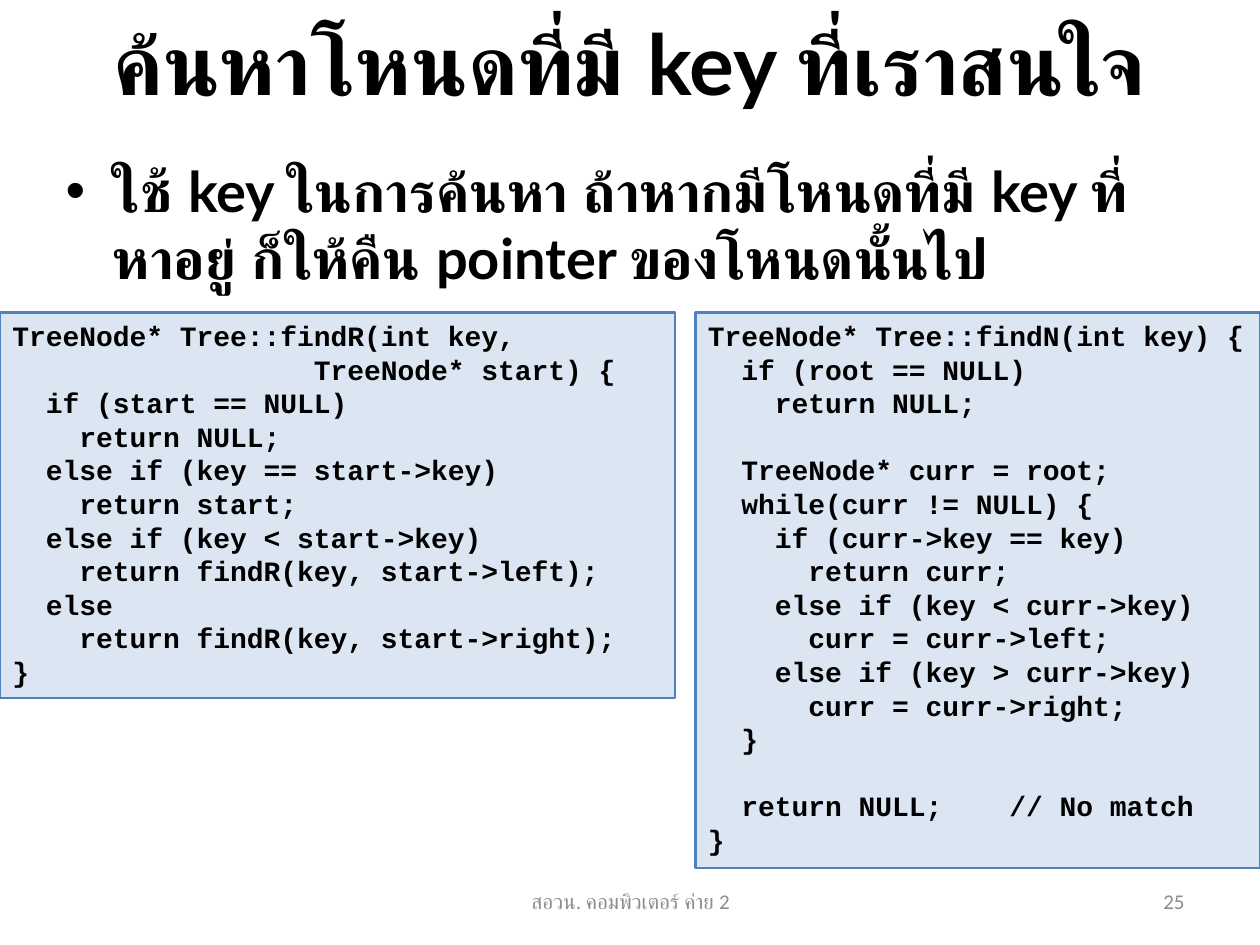
from pptx import Presentation
from pptx.dml.color import RGBColor
from pptx.enum.shapes import MSO_SHAPE
from pptx.enum.text import MSO_ANCHOR, MSO_AUTO_SIZE, PP_ALIGN
from pptx.util import Inches, Pt

TITLE = "ค้นหาโหนดที่มี key ที่เราสนใจ"
BULLET = "ใช้ key ในการค้นหา ถ้าหากมีโหนดที่มี key ที่หาอยู่ ก็ให้คืน pointer ของโหนดนั้นไป"

RECURSIVE_FIND = """TreeNode* Tree::findR(int key, \v                  TreeNode* start) {
  if (start == NULL)
    return NULL;
  else if (key == start->key)
    return start;
  else if (key < start->key)
    return findR(key, start->left);
  else
    return findR(key, start->right);
}"""

ITERATIVE_FIND = """TreeNode* Tree::findN(int key) {
  if (root == NULL)
    return NULL;

  TreeNode* curr = root;
  while(curr != NULL) {
    if (curr->key == key)
      return curr;
    else if (key < curr->key)
      curr = curr->left;
    else if (key > curr->key)
      curr = curr->right;
  }

  return NULL;    // No match
}"""

# Code, left, width, height
CODE_BOXES = [
    (RECURSIVE_FIND, 0, 5.36, 3.06),
    (ITERATIVE_FIND, 5.52, 4.48, 4.41),
]
CODE_TOP = 2.48

# Text, left, width, alignment
FOOTERS = [
    ("สอวน. คอมพิวเตอร์ ค่าย 2", 3.42, 3.17, PP_ALIGN.CENTER),
    ("25", 7.17, 2.33, PP_ALIGN.RIGHT),
]


def color(hex_value):
    return RGBColor.from_string(hex_value)


def place(shape, left, top, width, height):
    shape.left, shape.top = Inches(left), Inches(top)
    shape.width, shape.height = Inches(width), Inches(height)


def set_text(shape, text, font_name, size, hex_value, bold, alignment, anchor):
    frame = shape.text_frame
    frame.text = text
    frame.word_wrap = True
    frame.auto_size = MSO_AUTO_SIZE.NONE
    frame.vertical_anchor = anchor
    for paragraph in frame.paragraphs:
        paragraph.alignment = alignment
        paragraph.font.size = Pt(size)
        for run in paragraph.runs:
            run.font.name = font_name
            run.font.size = Pt(size)
            run.font.bold = bold
            run.font.color.rgb = color(hex_value)


def add_code_box(slide, code, left, width, height):
    box = slide.shapes.add_shape(
        MSO_SHAPE.RECTANGLE, Inches(left), Inches(CODE_TOP), Inches(width), Inches(height))
    box.shadow.inherit = False
    box.fill.solid()
    box.fill.fore_color.rgb = color("DCE6F2")
    box.line.color.rgb = color("4F81BD")
    box.line.width = Pt(1.25)
    set_text(box, code, "Courier New", 16, "000000", True, PP_ALIGN.LEFT, MSO_ANCHOR.TOP)
    box.text_frame.auto_size = MSO_AUTO_SIZE.SHAPE_TO_FIT_TEXT


def main():
    presentation = Presentation()
    presentation.slide_width, presentation.slide_height = Inches(10), Inches(7.5)
    slide = presentation.slides.add_slide(presentation.slide_layouts[1])

    title, body = slide.placeholders
    place(title, 0.5, 0.08, 9, 0.83)
    set_text(title, TITLE, "Lato", 48, "000000", True, PP_ALIGN.CENTER, MSO_ANCHOR.MIDDLE)
    place(body, 0.42, 1.19, 9, 0.58)
    set_text(body, BULLET, "Lato", 32, "000000", True, PP_ALIGN.LEFT, MSO_ANCHOR.TOP)
    body.text_frame.paragraphs[0].space_before = Pt(0)

    for code, left, width, height in CODE_BOXES:
        add_code_box(slide, code, left, width, height)

    for text, left, width, alignment in FOOTERS:
        footer = slide.shapes.add_textbox(Inches(left), Inches(6.95), Inches(width), Inches(0.4))
        set_text(footer, text, "Calibri", 12, "8C8C8C", False, alignment, MSO_ANCHOR.MIDDLE)

    presentation.save("out.pptx")


if __name__ == "__main__":
    main()
